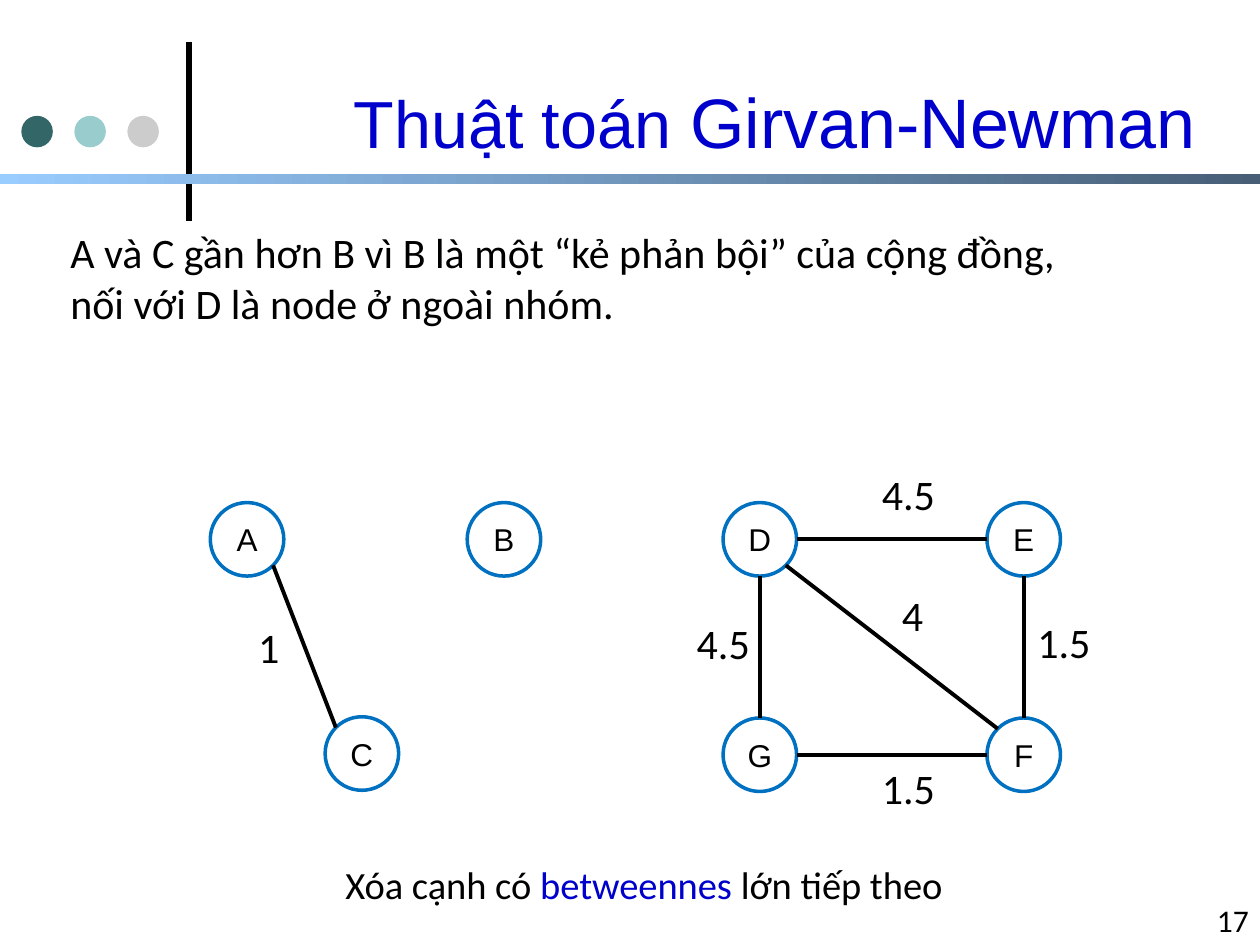
from dataclasses import dataclass
from math import sqrt

from lxml import etree
from pptx import Presentation
from pptx.dml.color import RGBColor
from pptx.enum import shapes, text
from pptx.oxml.ns import qn
from pptx.util import Pt

BLACK = RGBColor(0x00, 0x00, 0x00)
BLUE = RGBColor(0x00, 0x00, 0xCC)
NODE_BLUE = RGBColor(0x00, 0x70, 0xC0)
TEAL = RGBColor(0x33, 0x66, 0x66)
AQUA = RGBColor(0x99, 0xCC, 0xCC)
GREY = RGBColor(0xCC, 0xCC, 0xCC)
BAR_START = RGBColor(0x99, 0xCC, 0xFF)
BAR_END = RGBColor(0x47, 0x5E, 0x76)

RADIUS = 21
DIAGONAL = RADIUS / sqrt(2)
RIGHT, LEFT = (RADIUS, 0), (-RADIUS, 0)
BOTTOM, TOP = (0, RADIUS), (0, -RADIUS)
BOTTOM_RIGHT, TOP_LEFT = (DIAGONAL, DIAGONAL), (-DIAGONAL, -DIAGONAL)


@dataclass
class Node:
    name: str
    x: float
    y: float


@dataclass
class Edge:
    """A link from one side of a node to a side of another."""
    start: str
    start_side: tuple[float, float]
    end: str
    end_side: tuple[float, float]


@dataclass
class Weight:
    value: str
    left: float
    top: float
    width: float = 44.6


@dataclass
class Run:
    words: str
    size: float
    color: RGBColor = BLACK
    font: str = "Calibri"


TOP_ROW, BOTTOM_ROW = 308.2, 431.3
NODES = [
    Node("A", 141.2, TOP_ROW), Node("B", 288, TOP_ROW), Node("C", 206.8, 430.6),
    Node("D", 434.2, TOP_ROW), Node("E", 585, TOP_ROW),
    Node("F", 585, BOTTOM_ROW), Node("G", 434.2, BOTTOM_ROW),
]
EDGES = [
    Edge("A", BOTTOM_RIGHT, "C", TOP_LEFT),
    Edge("D", RIGHT, "E", LEFT),
    Edge("D", BOTTOM, "G", TOP),
    Edge("E", BOTTOM, "F", TOP),
    Edge("G", RIGHT, "F", LEFT),
    Edge("D", BOTTOM_RIGHT, "F", TOP_LEFT),
]
WEIGHTS = [
    Weight("4.5", 496.8, 264.2), Weight("4.5", 391, 349.2),
    Weight("4", 508.3, 333.4, 26.6), Weight("1.5", 585.7, 348.5),
    Weight("1.5", 496.8, 432), Weight("1", 140.4, 351.4, 26.6),
]


def write(tf, paragraphs: list[list[Run]], align=text.PP_ALIGN.LEFT,
          anchor=text.MSO_ANCHOR.TOP, wrap: bool = True) -> None:
    settings = {"auto_size": text.MSO_AUTO_SIZE.NONE,
                "word_wrap": wrap, "vertical_anchor": anchor}
    for key, value in settings.items():
        setattr(tf, key, value)
    for i, runs in enumerate(paragraphs):
        p = tf.paragraphs[0] if i == 0 else tf.add_paragraph()
        p.alignment = align
        for run in runs:
            r = p.add_run()
            r.text = run.words
            for key, value in {"size": Pt(run.size), "name": run.font}.items():
                setattr(r.font, key, value)
            r.font.color.rgb = run.color


def add_text(s, left: float, top: float, width: float, height: float,
             paragraphs: list[list[Run]], **layout) -> None:
    box = s.shapes.add_textbox(Pt(left), Pt(top), Pt(width), Pt(height))
    write(box.text_frame, paragraphs, **layout)


def add_plain_shape(s, kind, left: float, top: float, width: float, height: float):
    """Add a shape with neither shadow nor outline."""
    sp = s.shapes.add_shape(kind, Pt(left), Pt(top), Pt(width), Pt(height))
    sp.shadow.inherit = False
    sp.line.fill.background()
    return sp


def add_line(s, x1: float, y1: float, x2: float, y2: float, width: float) -> None:
    line = s.shapes.add_connector(shapes.MSO_CONNECTOR.STRAIGHT,
                                  Pt(x1), Pt(y1), Pt(x2), Pt(y2))
    line.line.color.rgb = BLACK
    line.line.width = Pt(width)
    etree.SubElement(line._element.spPr, qn("a:effectLst"))


def add_header(s) -> None:
    add_line(s, 108, 126, 108, 24, 3)
    for i, color in enumerate((TEAL, AQUA, GREY)):
        dot = add_plain_shape(s, shapes.MSO_SHAPE.OVAL, 12.2 + 30.3 * i, 66.2, 18, 18)
        dot.fill.solid()
        dot.fill.fore_color.rgb = color
    bar = add_plain_shape(s, shapes.MSO_SHAPE.RECTANGLE, 0, 99.4, 720, 5.8)
    bar.fill.gradient()
    bar.fill.gradient_angle = 0
    for stop, color, position in zip(bar.fill.gradient_stops, (BAR_START, BAR_END), (0, 1)):
        stop.color.rgb = color
        stop.position = position


def add_title(s) -> None:
    title = s.shapes.title
    place = {"left": 120.2, "top": 24.5, "width": 570.2, "height": 89.3}
    for key, value in place.items():
        setattr(title, key, Pt(value))
    write(title.text_frame,
          [[Run("Thuật toán ", 38, BLUE, "Arial"), Run("Girvan-Newman", 40, BLUE, "Arial")]],
          align=text.PP_ALIGN.RIGHT, anchor=text.MSO_ANCHOR.MIDDLE)


def add_node(s, node: Node) -> None:
    sp = add_plain_shape(s, shapes.MSO_SHAPE.OVAL, node.x - RADIUS, node.y - RADIUS,
                         2 * RADIUS, 2 * RADIUS)
    sp.fill.background()
    sp.line.color.rgb = NODE_BLUE
    sp.line.width = Pt(2)
    write(sp.text_frame, [[Run(node.name, 18, font="Arial")]],
          align=text.PP_ALIGN.CENTER, anchor=text.MSO_ANCHOR.MIDDLE, wrap=False)


def add_graph(s) -> None:
    for node in NODES:
        add_node(s, node)
    by_name = {node.name: node for node in NODES}
    for edge in EDGES:
        a, b = by_name[edge.start], by_name[edge.end]
        add_line(s, a.x + edge.start_side[0], a.y + edge.start_side[1],
                 b.x + edge.end_side[0], b.y + edge.end_side[1], 2.25)
    for weight in WEIGHTS:
        add_text(s, weight.left, weight.top, weight.width, 36,
                 [[Run(weight.value, 24)]], wrap=False)


def main() -> None:
    prs = Presentation()
    prs.slide_width, prs.slide_height = Pt(720), Pt(540)
    s = prs.slides.add_slide(prs.slide_layouts[5])
    add_header(s)
    add_title(s)
    add_graph(s)
    add_text(s, 33.1, 126, 674.6, 64.8, [
        [Run("A và C gần hơn B vì B là một “kẻ phản bội” của cộng đồng,", 24)],
        [Run("nối với D là node ở ngoài nhóm.", 24)],
    ])
    add_text(s, 92.9, 488.2, 555.1, 33.8, [
        [Run("Xóa cạnh có ", 22), Run("betweennes", 22, BLUE), Run(" lớn tiếp theo ", 22)],
    ], align=text.PP_ALIGN.CENTER)
    add_text(s, 619.2, 504, 101.5, 36, [[Run("17", 18)]],
             align=text.PP_ALIGN.RIGHT, anchor=text.MSO_ANCHOR.BOTTOM)
    prs.save("out.pptx")


if __name__ == "__main__":
    main()
